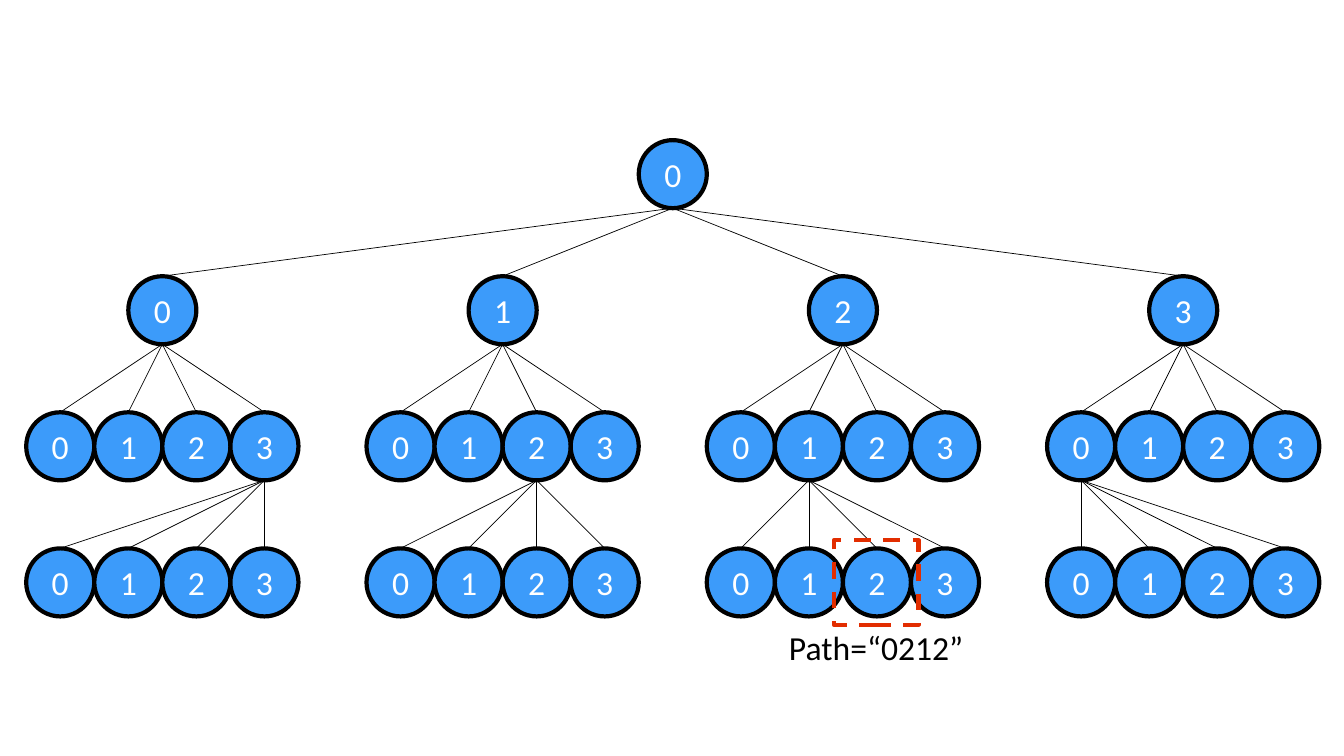
"""Build a slide with a four-way tree and one highlighted path."""
from pptx import Presentation
from pptx.dml.color import RGBColor
from pptx.enum.dml import MSO_LINE
from pptx.enum.shapes import MSO_CONNECTOR, MSO_SHAPE
from pptx.enum.text import MSO_ANCHOR, PP_ALIGN
from pptx.oxml.ns import qn
from pptx.util import Inches, Pt
from lxml import etree

DASH = MSO_LINE.DASH
STRAIGHT = MSO_CONNECTOR.STRAIGHT
OVAL = MSO_SHAPE.OVAL
RECTANGLE = MSO_SHAPE.RECTANGLE
MIDDLE = MSO_ANCHOR.MIDDLE
CENTER = PP_ALIGN.CENTER

COLORS = {
    "node": "3C9BFA",
    "outline": "000000",
    "digit": "FFFFFF",
    "highlight": "E22D00",
    "label": "000000",
}
FANOUT = 4
NODE = 2.7 / FANOUT
LEVEL_TOPS = [1.39 + level * 2 * NODE for level in range(4)]
BRANCH_CENTERS = [1.61 + branch * 5 * NODE for branch in range(FANOUT)]
ROOT_CENTER = sum(BRANCH_CENTERS) / FANOUT
EXPANDED_CHILDREN = [3, 2, 1, 0]

prs = Presentation()
prs.slide_width, prs.slide_height = Inches(13.33), Inches(7.5)
slide = prs.slides.add_slide(prs.slide_layouts[6])


def write(frame, text, color):
    frame.word_wrap = False
    paragraph = frame.paragraphs[0]
    paragraph.alignment = CENTER
    run = paragraph.add_run()
    run.text = text
    run.font.name = "Calibri"
    run.font.size = Pt(24)
    run.font.color.rgb = RGBColor.from_string(COLORS[color])


def style_line(line, color, width):
    line.color.rgb = RGBColor.from_string(COLORS[color])
    line.width = Pt(width)


nodes = [(ROOT_CENTER, 0, 0)]
edges = []
for branch, (center, expanded) in enumerate(zip(BRANCH_CENTERS, EXPANDED_CHILDREN)):
    nodes.append((center, 1, branch))
    edges.append((ROOT_CENTER, center, 0))
    child_centers = [center + (child - 1.5) * NODE for child in range(FANOUT)]
    for level, parent_center in ((2, center), (3, child_centers[expanded])):
        for child, child_center in enumerate(child_centers):
            nodes.append((child_center, level, child))
            edges.append((parent_center, child_center, level - 1))

for center, level, digit in nodes:
    node = slide.shapes.add_shape(
        OVAL, Inches(center - NODE / 2), Inches(LEVEL_TOPS[level]), Inches(NODE), Inches(NODE)
    )
    node.shadow.inherit = False
    node.fill.solid()
    node.fill.fore_color.rgb = RGBColor.from_string(COLORS["node"])
    style_line(node.line, "outline", 3)
    node.text_frame.vertical_anchor = MIDDLE
    write(node.text_frame, str(digit), "digit")

for parent_center, child_center, level in edges:
    edge = slide.shapes.add_connector(
        STRAIGHT,
        Inches(parent_center),
        Inches(LEVEL_TOPS[level] + NODE),
        Inches(child_center),
        Inches(LEVEL_TOPS[level + 1]),
    )
    style_line(edge.line, "outline", 0.5)
    etree.SubElement(edge._element.spPr, qn("a:effectLst"))

highlight = slide.shapes.add_shape(
    RECTANGLE, Inches(8.27), Inches(5.36), Inches(0.84), Inches(0.84)
)
highlight.shadow.inherit = False
highlight.fill.background()
style_line(highlight.line, "highlight", 3)
highlight.line.dash_style = DASH

path_label = slide.shapes.add_textbox(Inches(7.72), Inches(6.17), Inches(1.94), Inches(0.5))
write(path_label.text_frame, "Path=“0212”", "label")

prs.save("out.pptx")
